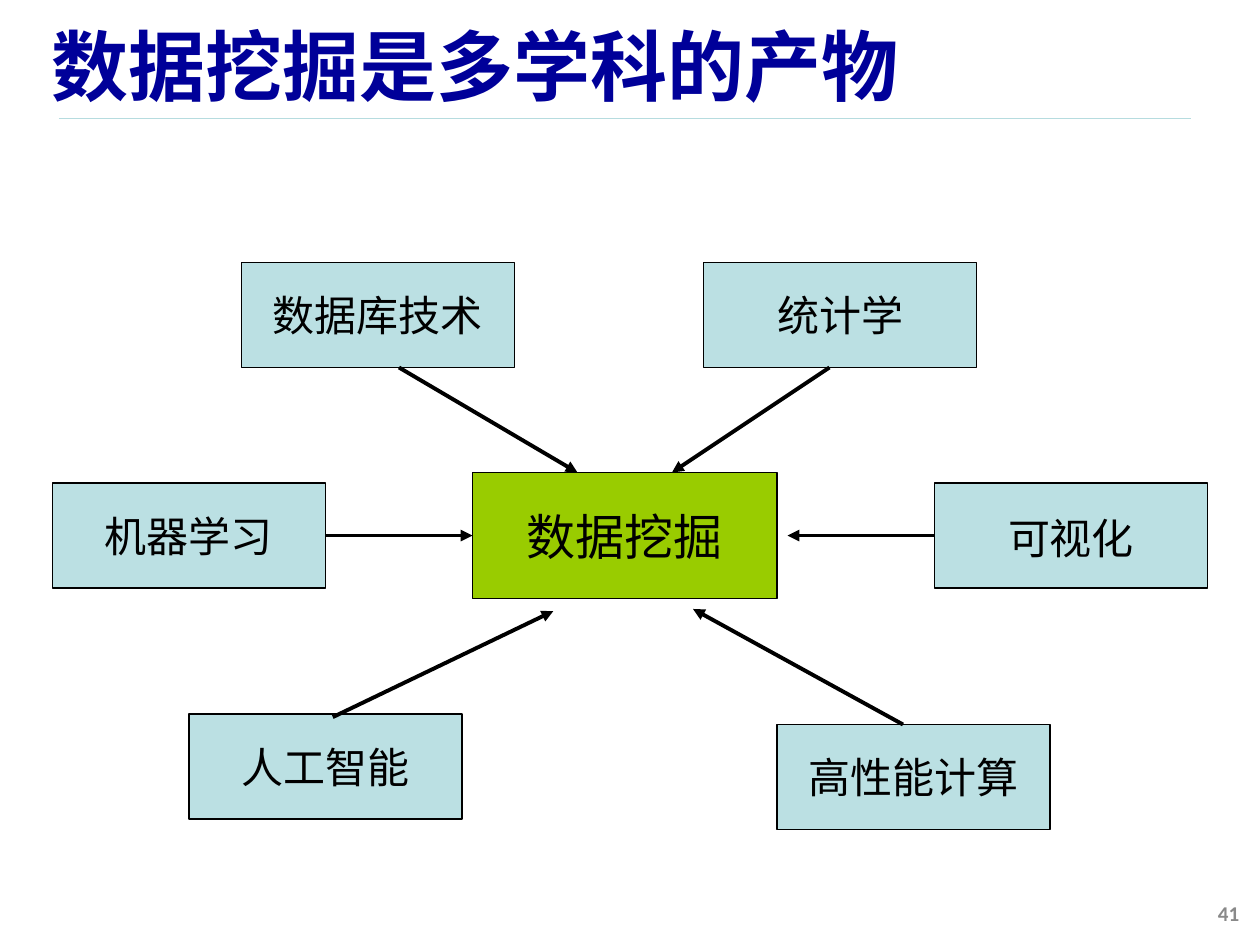
from lxml import etree
from pptx import Presentation
from pptx import util as u
from pptx.dml.color import RGBColor
from pptx.enum import shapes, text
from pptx.oxml.ns import qn

PX = 7620  # 120 px to the inch
HUES = {"title": "000099", "rule": "B6DCDF", "hub": "99CC00",
        "field": "BBE0E3", "ink": "000000", "page": "898989"}
FIELD = (260, 100)
HUB = (400, 200, 290, 120)
# name, box corner, arrow start, arrow end, font, line spacing
FIELDS = [
    ("数据库技术", (180, 0), (330, 100), (500, 200), "Karla", None),
    ("统计学", (620, 0), (740, 100), (590, 200), "Karla", None),
    ("高性能计算", (690, 440), (810, 440), (610, 330), "Arial", None),
    ("人工智能", (130, 430), (267, 433), (477, 332), "Karla", None),
    ("机器学习", (0, 210), (260, 260), (400, 260), "Karla", None),
    ("可视化", (840, 210), (840, 260), (700, 260), "Karla", 1.1),
]


def px(*nums):
    return [u.Emu(n * PX) for n in nums]


def hue(name):
    return RGBColor.from_string(HUES[name])


def write(shape, words, size, font, color, align, bold=False, wrap=True):
    frame = shape.text_frame
    frame.word_wrap = wrap
    frame.vertical_anchor = text.MSO_ANCHOR.MIDDLE
    para = frame.paragraphs[0]
    para.text = words
    para.alignment = align
    para.font.size = u.Pt(size)
    para.font.name = font
    para.font.bold = bold
    para.font.color.rgb = hue(color)
    return para


def label(slide, box, *style, **more):
    write(slide.shapes.add_textbox(*px(*box)), *style, **more)


def node(slide, box, words, size, font, fill):
    shape = slide.shapes.add_shape(shapes.MSO_SHAPE.RECTANGLE, *px(*box))
    shape.shadow.inherit = False
    shape.fill.solid()
    shape.fill.fore_color.rgb = hue(fill)
    shape.line.color.rgb = hue("ink")
    shape.line.width = u.Pt(0.75)
    return write(shape, words, size, font, "ink", text.PP_ALIGN.CENTER,
                 wrap=False)


def line(slide, start, end, color, width, arrow=False):
    link = slide.shapes.add_connector(shapes.MSO_CONNECTOR.STRAIGHT,
                                      *px(*start, *end))
    link.line.color.rgb = hue(color)
    link.line.width = u.Pt(width)
    props = link.line._get_or_add_ln()
    if arrow:
        etree.SubElement(props, qn("a:tailEnd"), type="triangle")
    etree.SubElement(props.getparent(), qn("a:effectLst"))


def header(slide, box):
    x, y, w, h = box
    line(slide, (x + 19, y + 103), (x + w, y + 103), "rule", 0.75)
    label(slide, box, "数据挖掘是多学科的产物", 44, "Arial", "title",
          text.PP_ALIGN.LEFT, bold=True)


def diagram(slide, left, top):
    """Draw the hub, the fields around it and their arrows."""
    def move(x, y):
        return left + x, top + y

    node(slide, (*move(*HUB[:2]), *HUB[2:]), "数据挖掘", 28, "Karla", "hub")
    for name, spot, _, _, font, gap in FIELDS:
        para = node(slide, (*move(*spot), *FIELD), name, 24, font, "field")
        para.line_spacing = gap
    for _, _, start, end, _, _ in FIELDS:
        line(slide, move(*start), move(*end), "ink", 2.25, arrow=True)


def main():
    deck = Presentation()
    deck.slide_width, deck.slide_height = px(1200, 900)
    slide = deck.slides.add_slide(deck.slide_layouts[6])
    header(slide, (37, 10, 1097, 104))
    diagram(slide, 50, 250)
    label(slide, (912, 846, 280, 48), "41", 12, "Calibri", "page",
          text.PP_ALIGN.RIGHT, bold=True)
    deck.save("out.pptx")


if __name__ == "__main__":
    main()
